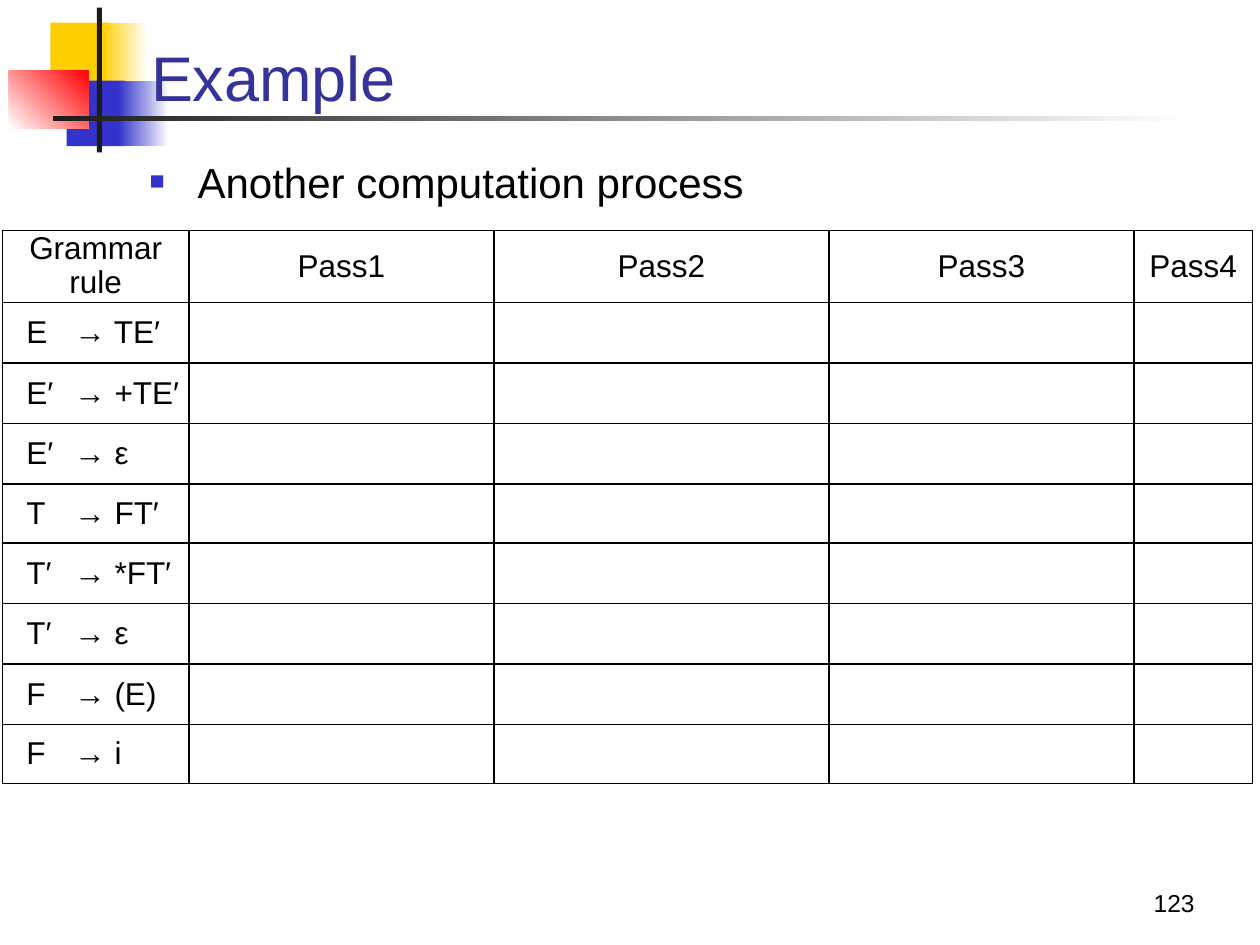
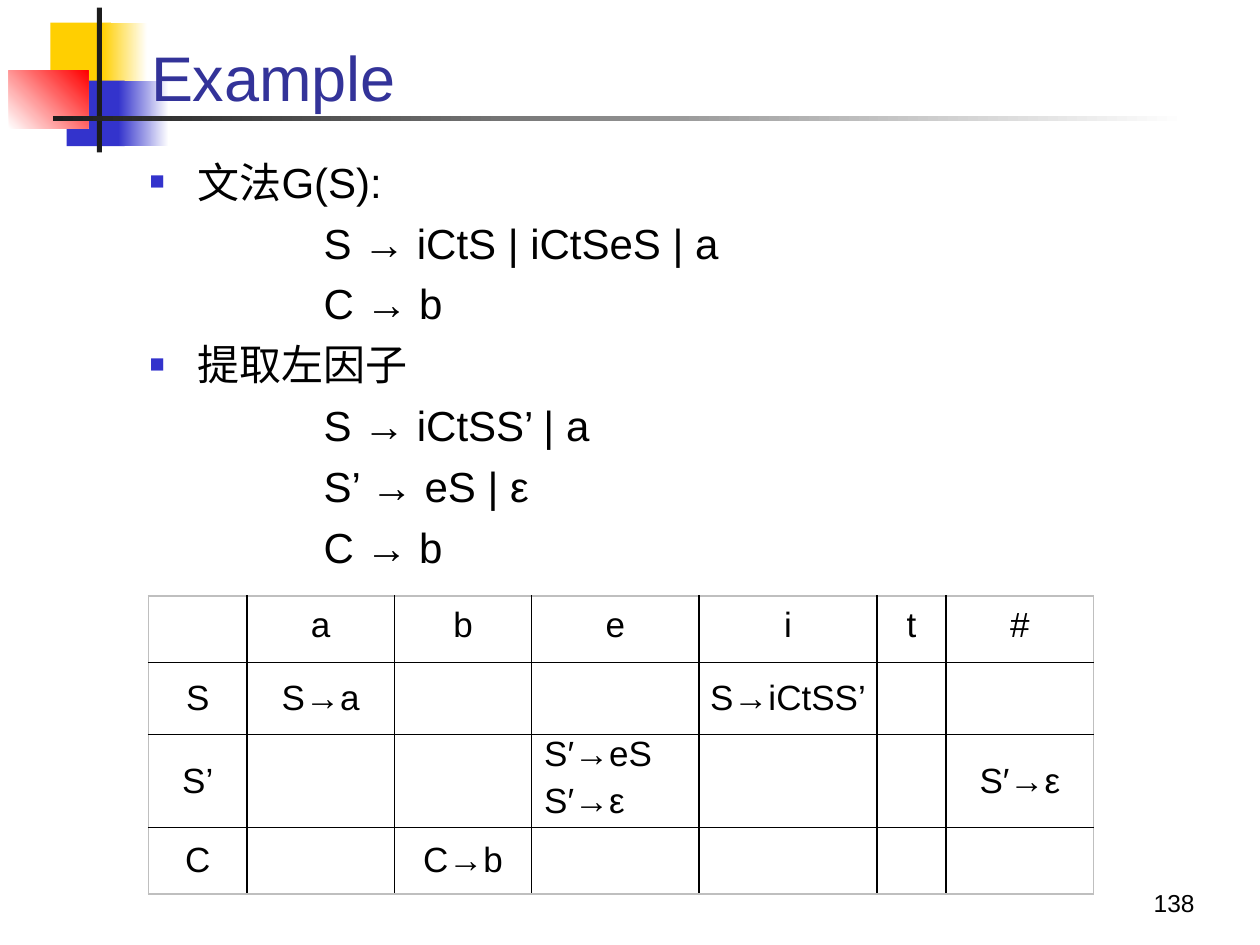
"""Build two lecture slides on grammar tables with a shared banner and footer."""
from dataclasses import dataclass
from typing import NamedTuple

from lxml.etree import SubElement
from pptx import Presentation
from pptx.dml.color import RGBColor
from pptx.enum.shapes import MSO_SHAPE
from pptx.enum.text import MSO_ANCHOR, PP_ALIGN
from pptx.oxml.ns import qn
from pptx.util import Length, Pt

SCALE = 9144


@dataclass(frozen=True)
class Theme:
    font: str = "Arial"
    ink: str = "000000"
    title: str = "333399"
    blue: str = "3333CC"
    gold: str = "FFCF01"
    red: str = "FF0000"
    dark: str = "1C1C1C"
    white: str = "FFFFFF"
    pale: str = "BFBFBF"
    head: int = 36
    body: int = 24
    cell: int = 20
    rule: int = 18
    foot: int = 14


THEME = Theme()


class Box(NamedTuple):
    left: int
    top: int
    width: int
    height: int


class Block(NamedTuple):
    box: Box
    start: str
    end: str = ""
    angle: int = 0


class Line(NamedTuple):
    text: str
    bullet: bool = False
    before: int = 6


class Grid(NamedTuple):
    left: int
    top: int
    cols: list[int]
    rows: list[int]
    size: int
    inset: int
    edge: str


BANNER = [
    Block(Box(40, 18, 48, 52), THEME.gold),
    Block(Box(81, 18, 36, 52), THEME.gold, THEME.white),
    Block(Box(53, 64, 46, 52), THEME.blue),
    Block(Box(94, 64, 40, 52), THEME.blue, THEME.white),
    Block(Box(7, 56, 63, 46), THEME.white, THEME.red, 45),
    Block(Box(77, 6, 4, 115), THEME.dark),
    Block(Box(42, 92, 900, 4), THEME.dark, THEME.white),
]
TITLE = Box(110, 20, 852, 76)
BODY = Box(109, 119, 850, 564)
NUMBER = Box(750, 683, 208, 50)
HANG, DEEP = 38, 138

PASSES = Grid(2, 183, [148, 242, 266, 242, 94], [56] + [48, 48, 48, 47] * 2,
              THEME.rule, 7, THEME.ink)
HEADS = ["Grammar rule", "Pass1", "Pass2", "Pass3", "Pass4"]
RULES = [("E", "TE′"), ("E′", "+TE′"), ("E′", "ε"), ("T", "FT′"),
         ("T′", "*FT′"), ("T′", "ε"), ("F", "(E)"), ("F", "i")]
STOP, DENT = 33, 12

PARSE = Grid(118, 473, [78, 117, 109, 133, 141, 55, 117], [53, 57, 73, 53],
             THEME.cell, 2, THEME.pale)
SIGNS = ["", "a", "b", "e", "i", "t", "#"]
MOVES = [
    ["S", "S→a", "", "", "S→iCtSS’", "", ""],
    ["S’", "", "", "S′→eS\nS′→ε", "", "", "S′→ε"],
    ["C", "", "C→b", "", "", "", ""],
]
GRAMMAR = [
    Line("文法G(S):", True, 12),
    Line("S → iCtS | iCtSeS | a"),
    Line("C → b"),
    Line("提取左因子", True),
    Line("S → iCtSS’ | a"),
    Line("S’ → eS | ε"),
    Line("C → b"),
]


def px(count: int) -> Length:
    return Length(count * SCALE)


def rgb(code: str) -> RGBColor:
    return RGBColor.from_string(code)


def style(para, size: int, color: str = THEME.ink) -> None:
    para.font.name = THEME.font
    para.font.size = Pt(size)
    para.font.color.rgb = rgb(color)


def block(slide, item: Block) -> None:
    shape = slide.shapes.add_shape(MSO_SHAPE.RECTANGLE, *map(px, item.box))
    shape.shadow.inherit = False
    shape.line.fill.background()
    if not item.end:
        shape.fill.solid()
        shape.fill.fore_color.rgb = rgb(item.start)
        return
    shape.fill.gradient()
    shape.fill.gradient_angle = item.angle
    for stop, code in zip(shape.fill.gradient_stops, (item.start, item.end)):
        stop.color.rgb = rgb(code)


def frame(slide, box: Box, anchor: MSO_ANCHOR):
    text = slide.shapes.add_textbox(*map(px, box)).text_frame
    text.word_wrap = True
    text.vertical_anchor = anchor
    return text


def label(slide, box: Box, words: str, size: int, color: str):
    para = frame(slide, box, MSO_ANCHOR.BOTTOM).paragraphs[0]
    para.text = words
    style(para, size, color)
    return para


def indent(para, left: int, first: int):
    props = para._p.get_or_add_pPr()
    props.set("marL", str(px(left)))
    props.set("indent", str(px(first)))
    return props


def bullet(props) -> None:
    color = SubElement(props, qn("a:buClr"))
    SubElement(color, qn("a:srgbClr"), val=THEME.blue)
    SubElement(props, qn("a:buSzPct"), val="60000")
    SubElement(props, qn("a:buFont"), typeface=THEME.font)
    SubElement(props, qn("a:buChar"), char="■")


def body(slide, lines: list[Line]) -> None:
    text = frame(slide, BODY, MSO_ANCHOR.TOP)
    text.text = "\n".join(line.text for line in lines)
    for para, line in zip(text.paragraphs, lines):
        para.space_before = Pt(line.before)
        if line.bullet:
            bullet(indent(para, HANG, -HANG))
        else:
            indent(para, DEEP, 0)
        style(para, THEME.body)


def border(cell, side: str, color: str) -> None:
    props = cell._tc.get_or_add_tcPr()
    line = SubElement(props, qn(f"a:ln{side}"), w=str(Pt(1)))
    fill = SubElement(line, qn("a:solidFill"))
    SubElement(fill, qn("a:srgbClr"), val=color)


def table(slide, grid: Grid, data: list[list[str]]):
    high, wide = len(grid.rows), len(grid.cols)
    box = Box(grid.left, grid.top, sum(grid.cols), sum(grid.rows))
    made = slide.shapes.add_table(high, wide, *map(px, box)).table
    made.first_row = made.horz_banding = False
    for col, width in zip(made.columns, grid.cols):
        col.width = px(width)
    for row, height in zip(made.rows, grid.rows):
        row.height = px(height)
    for y, words in enumerate(data):
        for x, word in enumerate(words):
            cell = made.cell(y, x)
            outer = {"L": x == 0, "R": x == wide - 1, "T": y == 0, "B": y == high - 1}
            for side, edge in outer.items():
                border(cell, side, grid.edge if edge else THEME.ink)
            cell.fill.background()
            cell.margin_left = cell.margin_right = px(grid.inset)
            cell.margin_top = cell.margin_bottom = 0
            cell.vertical_anchor = MSO_ANCHOR.MIDDLE
            cell.text = word
            for para in cell.text_frame.paragraphs:
                para.alignment = PP_ALIGN.CENTER
                style(para, grid.size)
    return made


def base(deck, number: int, lines: list[Line]):
    slide = deck.slides.add_slide(deck.slide_layouts[6])
    for item in BANNER:
        block(slide, item)
    label(slide, TITLE, "Example", THEME.head, THEME.title).line_spacing = 0.85
    body(slide, lines)
    label(slide, NUMBER, str(number), THEME.foot, THEME.ink).alignment = PP_ALIGN.RIGHT
    return slide


def passes(deck) -> None:
    slide = base(deck, 123, [Line("Another computation process", True, 12)])
    rows = [[f"{left}\t→ {right}"] + [""] * 4 for left, right in RULES]
    made = table(slide, PASSES, [HEADS] + rows)
    made.cell(0, 0).text_frame.paragraphs[0].line_spacing = 0.95
    for y in range(1, len(PASSES.rows)):
        para = made.cell(y, 0).text_frame.paragraphs[0]
        para.alignment = PP_ALIGN.LEFT
        para.space_before = Pt(6)
        tabs = SubElement(indent(para, 0, DENT), qn("a:tabLst"))
        SubElement(tabs, qn("a:tab"), pos=str(px(STOP)), algn="l")
        style(para, THEME.rule)


def moves(deck) -> None:
    slide = base(deck, 138, GRAMMAR)
    made = table(slide, PARSE, [SIGNS] + MOVES)
    for x in range(1, len(SIGNS)):
        made.cell(0, x).text_frame.paragraphs[0].line_spacing = Pt(18)
    pair = made.cell(2, 3)
    pair.vertical_anchor = MSO_ANCHOR.TOP
    pair.margin_left = px(10)
    for para in pair.text_frame.paragraphs:
        para.alignment = PP_ALIGN.LEFT
        para.space_before = Pt(5)


def main() -> None:
    deck = Presentation()
    deck.slide_width, deck.slide_height = px(1000), px(750)
    passes(deck)
    moves(deck)
    deck.save("out.pptx")


if __name__ == "__main__":
    main()
